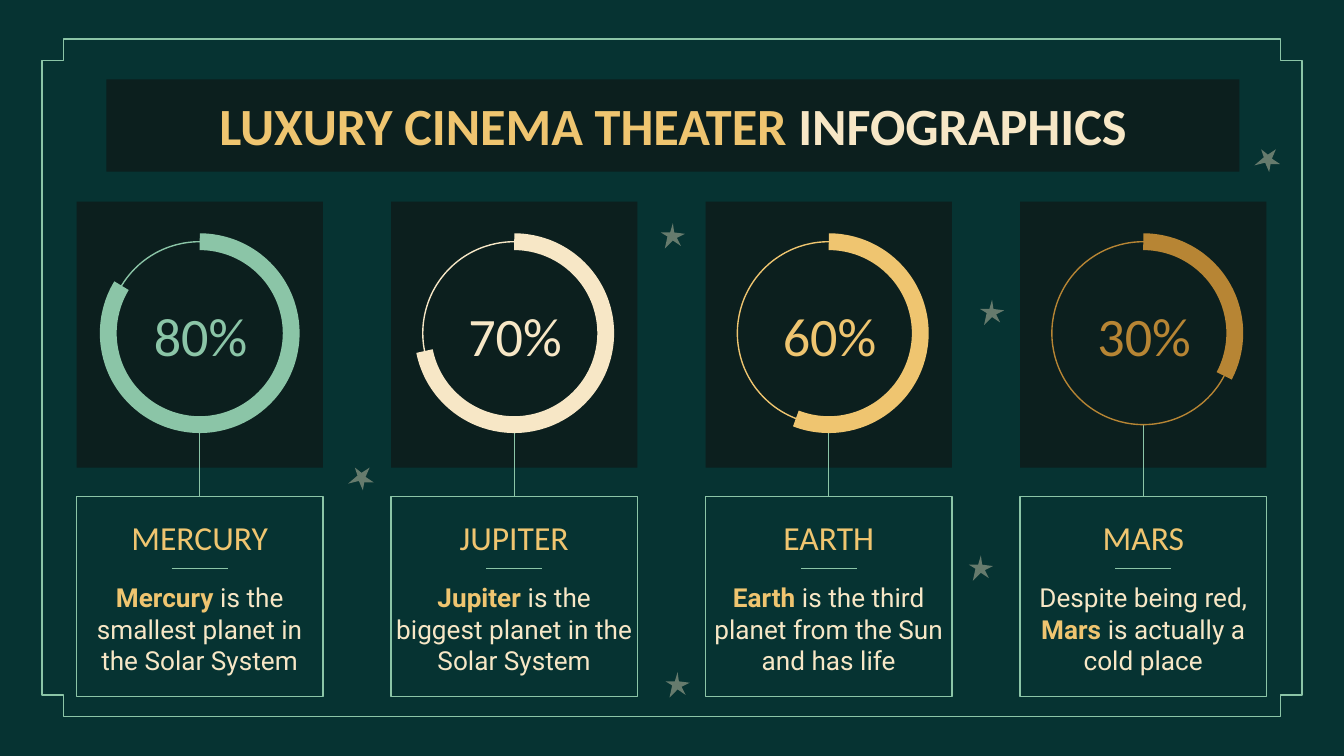
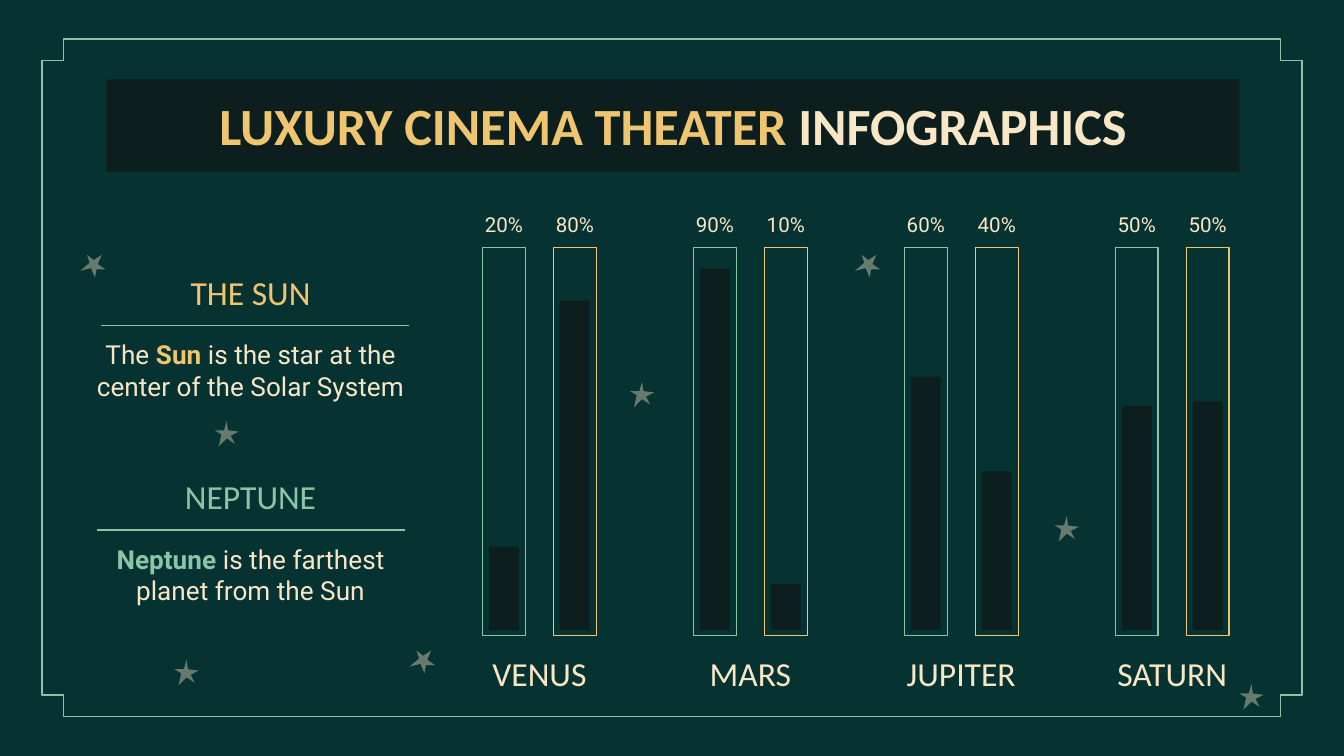
from dataclasses import dataclass

from lxml import etree
from pptx import Presentation
from pptx.dml.color import RGBColor
from pptx.enum.shapes import MSO_CONNECTOR, MSO_SHAPE
from pptx.enum.text import MSO_ANCHOR, MSO_AUTO_SIZE, PP_ALIGN
from pptx.oxml.ns import qn
from pptx.util import Pt

RECT, OVAL, ARC, PLUS = (MSO_SHAPE.RECTANGLE, MSO_SHAPE.OVAL,
                         MSO_SHAPE.ARC, MSO_SHAPE.CROSS)
STRAIGHT = MSO_CONNECTOR.STRAIGHT
CENTER = PP_ALIGN.CENTER
TOP, MIDDLE = MSO_ANCHOR.TOP, MSO_ANCHOR.MIDDLE
NO_AUTOFIT = MSO_AUTO_SIZE.NONE
TITLE_ONLY = 5


@dataclass(frozen=True)
class Theme:
    background: str = "063332"
    panel: str = "0C1F1E"
    mint: str = "8BC5A7"
    cream: str = "F7E7C6"
    gold: str = "EFC570"
    bronze: str = "B78534"
    head_font: str = "Calibri"
    body_font: str = "Roboto"
    title_size: float = 28
    figure_size: float = 29
    head_size: float = 18
    body_size: float = 14
    label_size: float = 11
    hairline: float = 0.75
    arc_width: float = 9
    inset: float = 7.2


T = Theme()

# Star outlines in hundredths of an inch
UPRIGHT = [(9, 0), (7, 7), (0, 7), (5, 10), (3, 19),
           (9, 13), (15, 17), (12, 11), (18, 8), (10, 7)]
TILTED = [(16, 0), (10, 4), (5, 0), (7, 6), (0, 12),
          (8, 10), (11, 17), (12, 11), (19, 11), (13, 7)]
STAR_UNIT = Pt(0.72)

# name, figure, colour, end angle of the arc in degrees, description runs
PLANETS = [
    ("MERCURY", "80%", T.mint, 211.3,
     [("Mercury ", T.gold, True),
      ("is the smallest planet in the Solar System", T.cream, False)]),
    ("JUPITER", "70%", T.cream, 168.7,
     [("Jupiter ", T.gold, True),
      ("is the biggest planet in the Solar System", T.cream, False)]),
    ("EARTH", "60%", T.gold, 111.1,
     [("Earth ", T.gold, True),
      ("is the third planet from the Sun and has life", T.cream, False)]),
    ("MARS", "30%", T.bronze, 27.8,
     [("Despite being red, ", T.cream, False), ("Mars ", T.gold, True),
      ("is actually a cold place", T.cream, False)]),
]
PLANET_STARS = [
    (UPRIGHT, 525, 160.5), (TILTED, 186.5, 250.5), (UPRIGHT, 354, 119.5),
    (UPRIGHT, 519, 297.5), (TILTED, 672, 80), (UPRIGHT, 356.5, 360),
]

# name, then (label, bar height) for the mint and the gold column
BAR_PAIRS = [
    ("VENUS", [("20%", 44.5), ("80%", 176.5)]),
    ("MARS", [("90%", 193.5), ("10%", 24.5)]),
    ("JUPITER", [("60%", 135.5), ("40%", 85)]),
    ("SATURN", [("50%", 120), ("50%", 122.5)]),
]
# heading, colour, left of the rule, description runs
NOTES = [
    ("THE SUN", T.gold, 18,
     [("The ", T.cream, False), ("Sun ", T.gold, True),
      ("is the star at the center of the Solar System", T.cream, False)]),
    ("NEPTUNE", T.mint, 16,
     [("Neptune ", T.mint, True),
      ("is the farthest planet from the Sun", T.cream, False)]),
]
BAR_STARS = [
    (TILTED, 219.5, 348.5), (UPRIGHT, 115, 225.5), (UPRIGHT, 337.5, 204.5),
    (TILTED, 458, 136.5), (UPRIGHT, 93.5, 353.5), (TILTED, 43, 136.5),
    (UPRIGHT, 565, 276.5), (UPRIGHT, 664, 366.5),
]


def rgb(value):
    return RGBColor.from_string(value)


def add_shape(slide, kind, x, y, w, h, fill=None, line=None, width=T.hairline):
    sp = slide.shapes.add_shape(kind, Pt(x), Pt(y), Pt(w), Pt(h))
    sp.shadow.inherit = False
    if fill:
        sp.fill.solid()
        sp.fill.fore_color.rgb = rgb(fill)
    else:
        sp.fill.background()
    if line:
        sp.line.color.rgb = rgb(line)
        sp.line.width = Pt(width)
    else:
        sp.line.fill.background()
    return sp


def add_line(slide, x1, y1, x2, y2):
    line = slide.shapes.add_connector(STRAIGHT, Pt(x1), Pt(y1), Pt(x2), Pt(y2))
    line.line.color.rgb = rgb(T.mint)
    line.line.width = Pt(T.hairline)
    etree.SubElement(line.element.spPr, qn("a:effectLst"))
    return line


def write_runs(tf, runs, size, font, anchor):
    """Fill a frame with one centred paragraph of (text, colour, bold) runs."""
    tf.word_wrap = True
    tf.auto_size = NO_AUTOFIT
    tf.vertical_anchor = anchor
    tf.margin_left = tf.margin_right = Pt(T.inset)
    tf.margin_top = tf.margin_bottom = Pt(T.inset)
    p = tf.paragraphs[0]
    p.alignment = CENTER
    for text, color, bold in runs:
        r = p.add_run()
        r.text = text
        r.font.name = font
        r.font.size = Pt(size)
        r.font.bold = bold
        r.font.color.rgb = rgb(color)


def add_text(slide, x, y, w, h, runs, size, font, anchor=MIDDLE):
    box = slide.shapes.add_textbox(Pt(x), Pt(y), Pt(w), Pt(h))
    write_runs(box.text_frame, runs, size, font, anchor)


def add_heading(slide, x, y, w, h, text, color, size=T.head_size, anchor=MIDDLE):
    add_text(slide, x, y, w, h, [(text, color, False)], size, T.head_font, anchor)


def add_star(slide, outline, x, y):
    builder = slide.shapes.build_freeform(*outline[0], scale=STAR_UNIT)
    builder.add_line_segments(outline[1:], close=True)
    sp = builder.convert_to_shape(Pt(x), Pt(y))
    sp.shadow.inherit = False
    sp.fill.solid()
    sp.fill.fore_color.rgb = rgb(T.cream)
    sp.line.fill.background()
    color = sp.element.spPr.find(".//" + qn("a:srgbClr"))
    etree.SubElement(color, qn("a:alpha"), val="40000")


def add_slide(prs):
    slide = prs.slides.add_slide(prs.slide_layouts[TITLE_ONLY])
    title = slide.shapes.title
    title.left, title.top, title.width, title.height = (
        Pt(57), Pt(42.5), Pt(607), Pt(49.5))
    title.fill.solid()
    title.fill.fore_color.rgb = rgb(T.panel)
    write_runs(title.text_frame,
               [("LUXURY CINEMA THEATER", T.gold, True),
                (" INFOGRAPHICS", T.cream, True)],
               T.title_size, T.head_font, TOP)
    return slide


def move_frame_to_layout(slide):
    """Draw the notched frame and hand it to the layout all slides share."""
    frame = add_shape(slide, PLUS, 22.5, 21, 675, 363, line=T.mint)
    frame.adjustments[0] = 0.032
    slide.slide_layout.shapes.element.append(frame.element)


def add_planet_card(slide, x, y, planet):
    name, figure, color, end_angle, description = planet
    width, ring, ring_top, box_top = 132, 98, 21.5, 158
    middle = x + width / 2
    rule_y = y + 196.5

    add_shape(slide, RECT, x, y, width, 142.5, fill=T.panel)
    box = add_shape(slide, RECT, x, y + box_top, width, 107, line=T.mint)
    stem = add_line(slide, middle, y + ring_top + ring, middle, y + box_top)
    stem.end_connect(box, 0)

    ring_box = (middle - ring / 2, y + ring_top, ring, ring)
    add_shape(slide, OVAL, *ring_box, line=color)
    arc = add_shape(slide, ARC, *ring_box, line=color, width=T.arc_width)
    arc.adjustments[0] = 270 * 0.6
    arc.adjustments[1] = end_angle * 0.6
    add_heading(slide, middle - 59, y + 50.5, 119, 42, figure, color,
                T.figure_size)

    add_line(slide, middle - 15, rule_y, middle + 15, rule_y)
    add_heading(slide, middle - 72, y + 162, 144, 36, name, T.gold, anchor=TOP)
    add_text(slide, middle - 72, rule_y, 144, 61, description,
             T.body_size, T.body_font, TOP)


def add_note(slide, x, y, note):
    heading, color, rule_left, description = note
    width = 196.5
    add_heading(slide, x, y, width, 42, heading, color)
    add_line(slide, x + rule_left, y + 39, x + rule_left + 165, y + 39)
    add_text(slide, x, y + 40.5, width, 44.5, description,
             T.body_size, T.body_font)


def add_bar_pair(slide, x, y, width, name, bars):
    column_w, column_h, gap, bar_w, label_w, label_h = 23, 208, 15, 16, 37.5, 24.5
    first = x + (width - 2 * column_w - gap) / 2
    bottom = y + label_h + column_h
    for i, ((label, height), color) in enumerate(zip(bars, (T.mint, T.gold))):
        left = first + i * (column_w + gap)
        middle = left + column_w / 2
        add_shape(slide, RECT, left, y + label_h, column_w, column_h, line=color)
        add_shape(slide, RECT, middle - bar_w / 2, bottom - 3 - height,
                  bar_w, height, fill=T.panel)
        add_text(slide, middle - label_w / 2, y, label_w, label_h,
                 [(label, T.cream, False)], T.label_size, T.body_font)
    add_heading(slide, x, bottom + 8, width, label_h, name, T.cream)


def build_planet_slide(prs):
    slide = add_slide(prs)
    move_frame_to_layout(slide)
    for i, planet in enumerate(PLANETS):
        add_planet_card(slide, 41 + 168.5 * i, 108, planet)
    for star in PLANET_STARS:
        add_star(slide, *star)


def build_bar_slide(prs):
    slide = add_slide(prs)
    for i, note in enumerate(NOTES):
        add_note(slide, 36, 135.5 + 109.5 * i, note)
    pair_width = 113
    for i, (name, bars) in enumerate(BAR_PAIRS):
        add_bar_pair(slide, 232.5 + pair_width * i, 108, pair_width, name, bars)
    for star in BAR_STARS:
        add_star(slide, *star)


def main():
    prs = Presentation()
    prs.slide_width, prs.slide_height = Pt(720), Pt(405)
    fill = prs.slide_master.background.fill
    fill.solid()
    fill.fore_color.rgb = rgb(T.background)
    build_planet_slide(prs)
    build_bar_slide(prs)
    prs.save("out.pptx")


if __name__ == "__main__":
    main()
